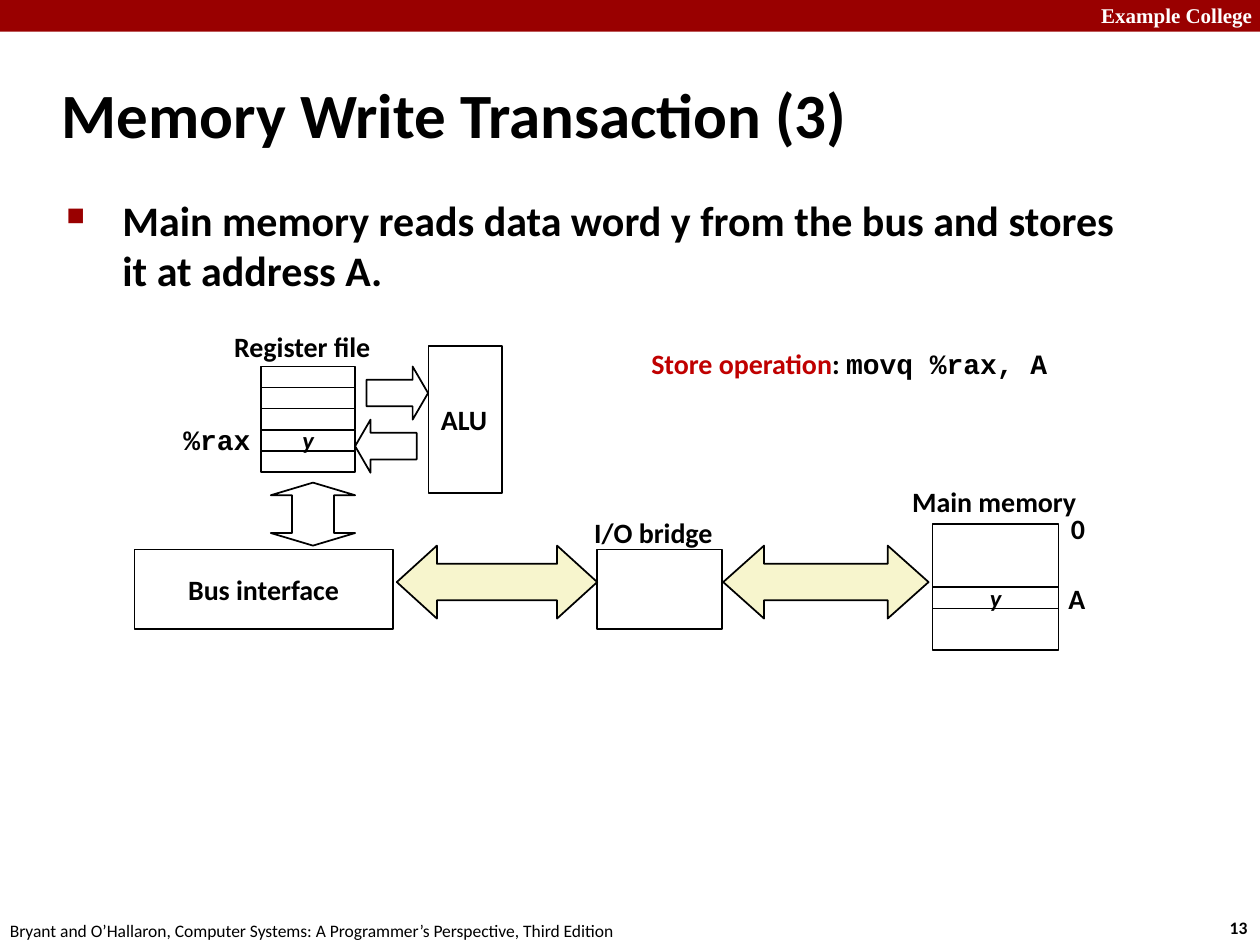
from dataclasses import dataclass
from typing import NamedTuple

from lxml.etree import SubElement
from pptx import Presentation
from pptx.dml.color import RGBColor
from pptx.enum.shapes import MSO_SHAPE
from pptx.enum.text import MSO_ANCHOR, MSO_AUTO_SIZE, PP_ALIGN
from pptx.oxml.ns import qn
from pptx.util import Cm, Pt


@dataclass(frozen=True)
class Theme:
    ink: str = "000000"
    paper: str = "FFFFFF"
    bar: str = "990000"
    accent: str = "C00000"
    bus: str = "F7F5CD"
    sans: str = "Calibri"
    mono: str = "Courier New"
    serif: str = "Times New Roman"
    title: int = 36
    body: int = 24
    label: int = 16
    value: int = 14
    header: int = 12
    footer: int = 10
    line: int = 1


THEME = Theme()


class Box(NamedTuple):
    """Left, top, width and height in centimetres."""
    left: float
    top: float
    width: float
    height: float

    def lengths(self) -> list:
        return [Cm(side) for side in self]


class Run(NamedTuple):
    text: str
    size: int = THEME.label
    font: str = THEME.sans
    color: str = THEME.ink
    bold: bool = True
    italic: bool = False


class Part(NamedTuple):
    """An outlined block or arrow of the diagram."""
    kind: MSO_SHAPE
    box: Box
    fill: str | None = None
    run: Run | None = None
    align: PP_ALIGN = PP_ALIGN.CENTER
    adjustments: tuple = ()


class Label(NamedTuple):
    box: Box
    runs: tuple
    anchor: MSO_ANCHOR = MSO_ANCHOR.MIDDLE
    wrap: bool = False


def set_format(target, values: dict) -> None:
    for name, value in values.items():
        setattr(target, name, value)


def add_runs(paragraph, runs: tuple) -> None:
    for item in runs:
        run = paragraph.add_run()
        run.text = item.text
        set_format(run.font, {"name": item.font, "size": Pt(item.size),
                              "bold": item.bold, "italic": item.italic})
        run.font.color.rgb = RGBColor.from_string(item.color)


def adjust(shape, values: tuple) -> None:
    """Set the adjustments; python-pptx names both guides of an up-down arrow adj1."""
    for index, value in enumerate(values):
        shape.adjustments[index] = value
    for number, guide in enumerate(shape._element.spPr.iter(qn("a:gd")), start=1):
        guide.set("name", f"adj{number}")


def add_part(slide, part: Part, outlined: bool = True) -> None:
    shape = slide.shapes.add_shape(part.kind, *part.box.lengths())
    shape.shadow.inherit = False
    if part.fill:
        shape.fill.solid()
        shape.fill.fore_color.rgb = RGBColor.from_string(part.fill)
    else:
        shape.fill.background()
    if outlined:
        shape.line.color.rgb = RGBColor.from_string(THEME.ink)
        shape.line.width = Pt(THEME.line)
    else:
        shape.line.fill.background()
    if part.adjustments:
        adjust(shape, part.adjustments)
    if part.run:
        set_format(shape.text_frame, {"word_wrap": False,
                                      "vertical_anchor": MSO_ANCHOR.MIDDLE})
        paragraph = shape.text_frame.paragraphs[0]
        paragraph.alignment = part.align
        add_runs(paragraph, (part.run,))


def add_label(slide, label: Label) -> None:
    frame = slide.shapes.add_textbox(*label.box.lengths()).text_frame
    set_format(frame, {"word_wrap": label.wrap, "vertical_anchor": label.anchor,
                       "auto_size": MSO_AUTO_SIZE.SHAPE_TO_FIT_TEXT})
    add_runs(frame.paragraphs[0], label.runs)


def set_indent(paragraph, indent: float):
    """Hang the first line by indent centimetres."""
    properties = paragraph._p.get_or_add_pPr()
    properties.set("marL", str(Cm(indent)))
    properties.set("indent", str(-Cm(indent)))
    return properties


def add_title(slide, text: str) -> None:
    title = slide.shapes.title
    set_format(title, dict(zip(("left", "top", "width", "height"),
                               Box(0.99, 1.22, 21.08, 2.11).lengths())))
    set_format(title.text_frame, {"vertical_anchor": MSO_ANCHOR.MIDDLE,
                                  "auto_size": MSO_AUTO_SIZE.NONE})
    paragraph = title.text_frame.paragraphs[0]
    paragraph.alignment = PP_ALIGN.LEFT
    set_indent(paragraph, 0.33)
    add_runs(paragraph, (Run(text, THEME.title),))


def add_bullet(slide, text: str) -> None:
    frame = slide.shapes.add_textbox(*Box(1.09, 3.79, 21.95, 13.82).lengths()).text_frame
    frame.word_wrap = True
    paragraph = frame.paragraphs[0]
    paragraph.space_before = Pt(0.2 * THEME.body)
    properties = set_indent(paragraph, 1.13)
    color = SubElement(properties, qn("a:buClr"))
    SubElement(color, qn("a:srgbClr"), val=THEME.bar)
    SubElement(properties, qn("a:buSzPct"), val="60000")
    SubElement(properties, qn("a:buChar"), char="■")
    add_runs(paragraph, (Run(text, THEME.body),))


REGISTERS = Box(5.26, 7.39, 1.9, 2.12)
REGISTER_COUNT = 5
RAX_INDEX = 3
STORED_WORD = Run("y", THEME.value, italic=True)


def register_parts() -> list[Part]:
    height = REGISTERS.height / REGISTER_COUNT
    return [Part(MSO_SHAPE.RECTANGLE,
                 Box(REGISTERS.left, REGISTERS.top + index * height, REGISTERS.width, height),
                 run=STORED_WORD if index == RAX_INDEX else None)
            for index in range(REGISTER_COUNT)]


DIAGRAM = [
    Part(MSO_SHAPE.RECTANGLE, Box(18.8, 10.57, 2.54, 2.54)),
    Part(MSO_SHAPE.LEFT_RIGHT_ARROW, Box(14.58, 11, 4.14, 1.47), THEME.bus,
         adjustments=(0.5, 0.56)),
    Part(MSO_SHAPE.RECTANGLE, Box(12.04, 11.08, 2.52, 1.6)),
    Part(MSO_SHAPE.LEFT_RIGHT_ARROW, Box(8, 11, 4.04, 1.47), THEME.bus,
         adjustments=(0.5, 0.55)),
    *register_parts(),
    Part(MSO_SHAPE.RIGHT_ARROW, Box(7.39, 7.39, 1.24, 1.07), adjustments=(0.5, 0.29)),
    Part(MSO_SHAPE.LEFT_ARROW, Box(7.16, 8.46, 1.24, 1.07), adjustments=(0.5, 0.29)),
    Part(MSO_SHAPE.RECTANGLE, Box(8.64, 6.98, 1.48, 2.96), run=Run("ALU"),
         align=PP_ALIGN.LEFT),
    Part(MSO_SHAPE.UP_DOWN_ARROW, Box(5.46, 9.73, 1.7, 1.27), adjustments=(0.5, 0.2)),
    Part(MSO_SHAPE.RECTANGLE, Box(2.71, 11.08, 5.21, 1.6), THEME.paper, Run("Bus interface")),
    Part(MSO_SHAPE.RECTANGLE, Box(18.8, 11.84, 2.54, 0.43), run=STORED_WORD),
]

LABELS = [
    Label(Box(21.95, -0.08, 3.63, 0.76),
          (Run("Example College", THEME.header, THEME.serif, THEME.paper),),
          MSO_ANCHOR.TOP, True),
    Label(Box(24.54, 18.36, 0.94, 0.69), (Run("13", THEME.footer),), MSO_ANCHOR.TOP),
    Label(Box(-0.05, 18.42, 12.9, 0.69),
          (Run("Bryant and O’Hallaron, Computer Systems: A Programmer’s Perspective, "
               "Third Edition", THEME.footer, bold=False),), MSO_ANCHOR.TOP),
    Label(Box(4.47, 6.51, 3.3, 0.94), (Run("Register file"),)),
    Label(Box(18.14, 9.63, 3.86, 0.94), (Run("Main memory"),)),
    Label(Box(21.34, 10.19, 0.81, 0.94), (Run("0"),)),
    Label(Box(21.29, 11.59, 0.86, 0.94), (Run("A"),)),
    Label(Box(3.45, 8.38, 1.88, 0.94), (Run("%rax", font=THEME.mono),)),
    Label(Box(11.73, 10.27, 2.92, 0.94), (Run("I/O bridge"),)),
    Label(Box(12.88, 6.86, 8.61, 1.63),
          (Run("Store operation", color=THEME.accent), Run(": "),
           Run("movq %rax, A", font=THEME.mono)), MSO_ANCHOR.TOP),
]


def main() -> None:
    deck = Presentation()
    set_format(deck, {"slide_width": Cm(25.4), "slide_height": Cm(19.05)})
    slide = deck.slides.add_slide(deck.slide_layouts[5])
    add_part(slide, Part(MSO_SHAPE.RECTANGLE, Box(0, 0, 25.4, 0.64), THEME.bar), outlined=False)
    add_title(slide, "Memory Write Transaction (3)")
    add_bullet(slide, "Main memory reads data word y from the bus and stores it at address A.")
    for part in DIAGRAM:
        add_part(slide, part)
    for label in LABELS:
        add_label(slide, label)
    deck.save("out.pptx")


if __name__ == "__main__":
    main()
